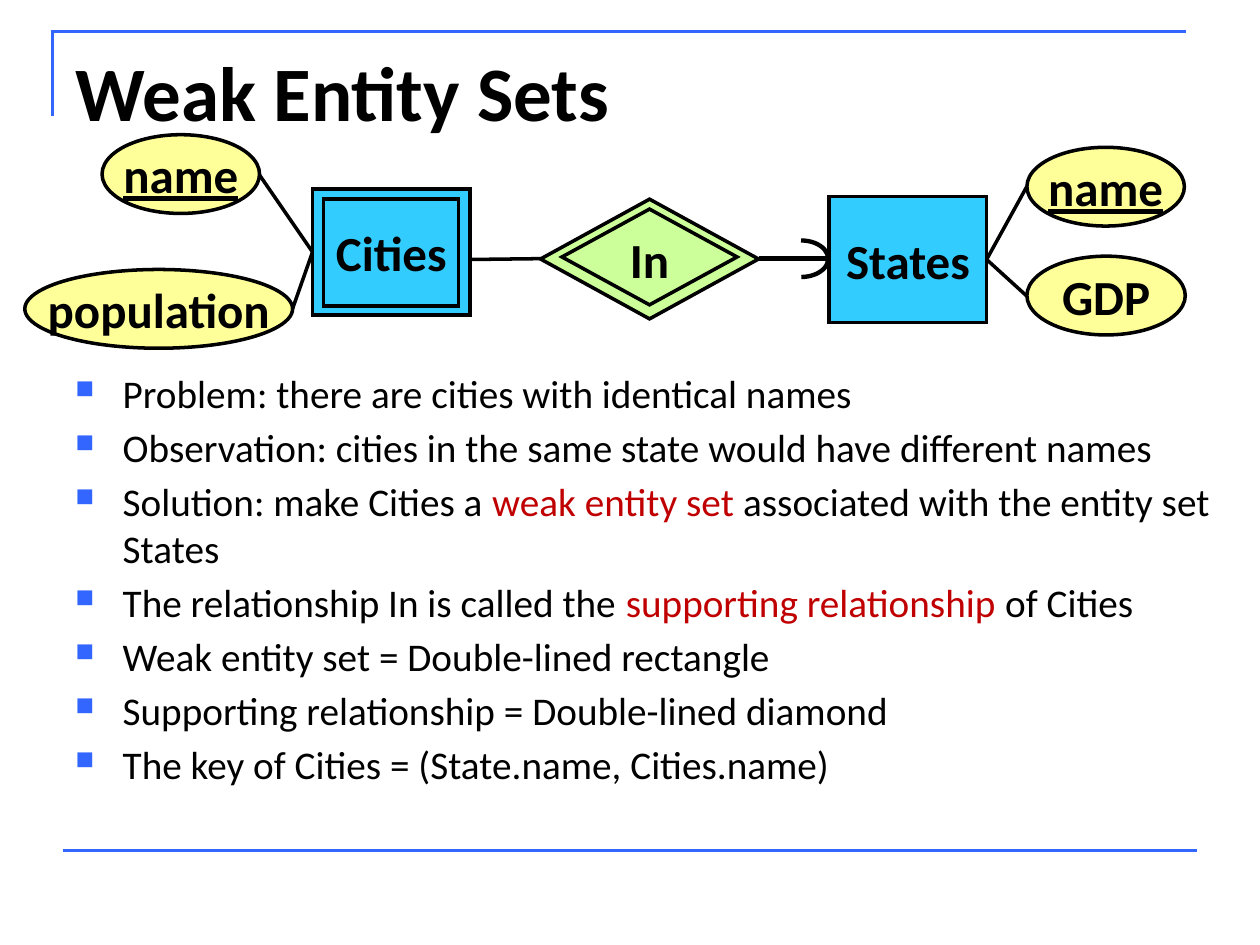
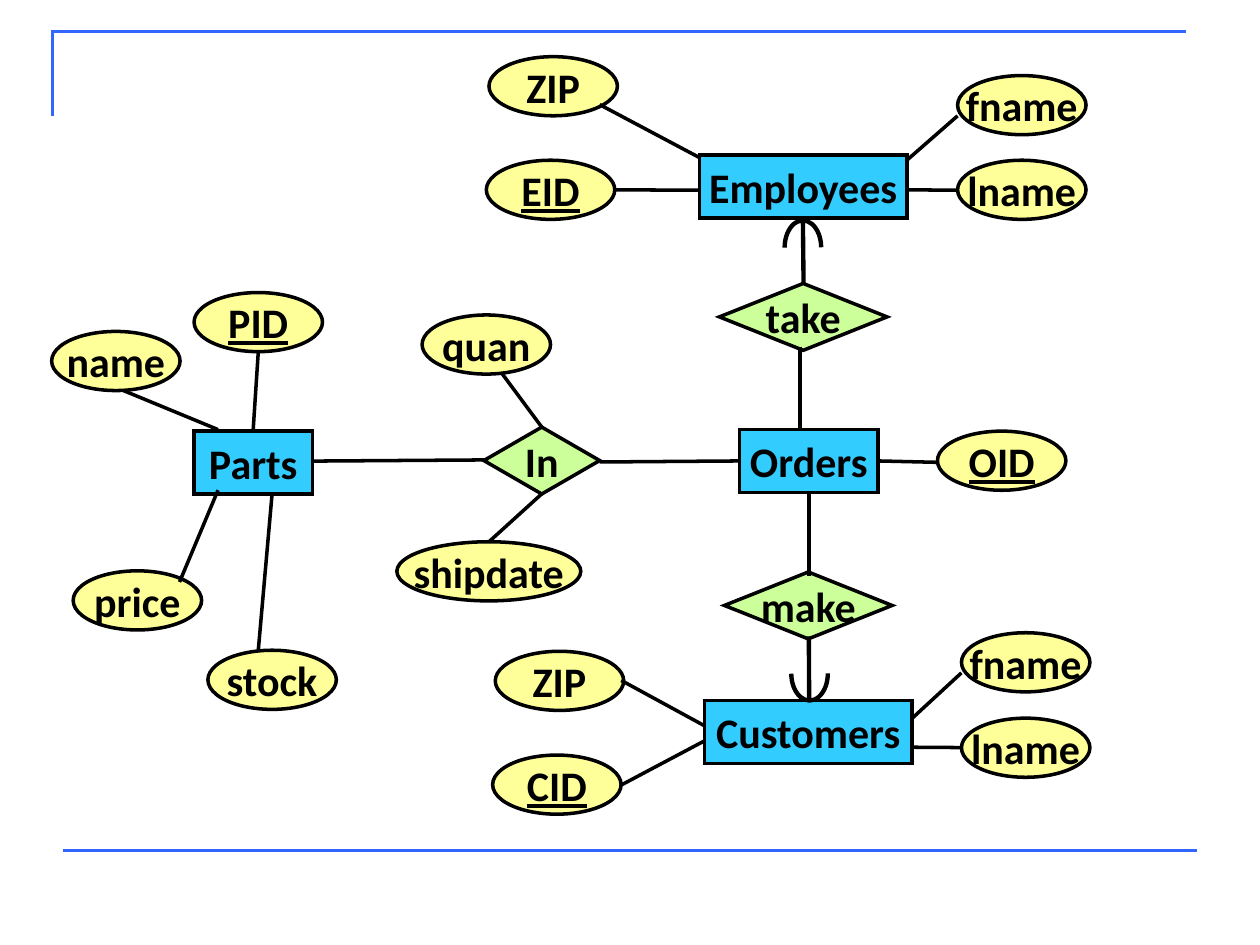
from dataclasses import dataclass
from enum import Enum

from lxml.etree import SubElement
from pptx import Presentation
from pptx.dml.color import RGBColor
from pptx.enum.shapes import MSO_CONNECTOR, MSO_SHAPE
from pptx.enum.text import MSO_ANCHOR, MSO_AUTO_SIZE, PP_ALIGN
from pptx.oxml.ns import qn
from pptx.util import Pt

# Shared look
FONT = "Calibri"
BLACK = RGBColor(0x00, 0x00, 0x00)
RED = RGBColor(0xC0, 0x00, 0x00)
FRAME_BLUE = RGBColor(0x33, 0x66, 0xFF)
ENTITY_BLUE = RGBColor(0x33, 0xCC, 0xFF)
ATTRIBUTE_YELLOW = RGBColor(0xFF, 0xFF, 0x99)
RELATIONSHIP_GREEN = RGBColor(0xCC, 0xFF, 0x99)
FRAME_WIDTH, LINE_WIDTH, ARROW_WIDTH = 1.5, 2, 2.5
ARC_WIDTH, ARC_HEIGHT = 31, 20.9
TITLE_ONLY, BLANK = 5, 6


class Kind(Enum):
    ENTITY = (MSO_SHAPE.RECTANGLE, ENTITY_BLUE)
    ATTRIBUTE = (MSO_SHAPE.OVAL, ATTRIBUTE_YELLOW)
    RELATIONSHIP = (MSO_SHAPE.DIAMOND, RELATIONSHIP_GREEN)
    INNER_RECTANGLE = (MSO_SHAPE.RECTANGLE, None)
    INNER_DIAMOND = (MSO_SHAPE.DIAMOND, None)


@dataclass
class Node:
    kind: Kind
    text: str
    left: float
    top: float
    width: float
    height: float
    key: bool = False


@dataclass
class Link:
    x1: float
    y1: float
    x2: float
    y2: float
    width: float = LINE_WIDTH
    color: RGBColor = BLACK


@dataclass
class RoundArrowhead:
    left: float
    top: float
    rotation: float = 0


def add_text(paragraph, text: str, *, size: float, color: RGBColor = BLACK,
             bold: bool = False, underline: bool = False) -> None:
    run = paragraph.add_run()
    run.text = text
    font = run.font
    font.name, font.size, font.bold = FONT, Pt(size), bold
    font.underline = underline
    font.color.rgb = color


def format_line(shape, color: RGBColor, width: float) -> None:
    shape.line.color.rgb = color
    shape.line.width = Pt(width)


def format_outline(shape, fill: RGBColor | None, color: RGBColor, width: float) -> None:
    shape.shadow.inherit = False
    if fill is None:
        shape.fill.background()
    else:
        shape.fill.solid()
        shape.fill.fore_color.rgb = fill
    format_line(shape, color, width)
    # Sharp corners
    SubElement(shape.line._get_or_add_ln(), qn("a:miter"), lim="800000")


def add_node(slide, node: Node, size: float) -> None:
    preset, fill = node.kind.value
    shape = slide.shapes.add_shape(
        preset, Pt(node.left), Pt(node.top), Pt(node.width), Pt(node.height))
    format_outline(shape, fill, BLACK, LINE_WIDTH)
    if node.text:
        frame = shape.text_frame
        frame.word_wrap = False
        frame.vertical_anchor = MSO_ANCHOR.MIDDLE
        paragraph = frame.paragraphs[0]
        paragraph.alignment = PP_ALIGN.CENTER
        add_text(paragraph, node.text, size=size, bold=True, underline=node.key)


def add_link(slide, link: Link) -> None:
    connector = slide.shapes.add_connector(
        MSO_CONNECTOR.STRAIGHT, Pt(link.x1), Pt(link.y1), Pt(link.x2), Pt(link.y2))
    format_line(connector, link.color, link.width)
    SubElement(connector._element.spPr, qn("a:effectLst"))


def add_round_arrowhead(slide, arrowhead: RoundArrowhead) -> None:
    arc = slide.shapes.add_shape(
        MSO_SHAPE.ARC, Pt(arrowhead.left), Pt(arrowhead.top), Pt(ARC_WIDTH), Pt(ARC_HEIGHT))
    arc.adjustments[0], arc.adjustments[1] = 162, 53.455
    arc.rotation = arrowhead.rotation
    format_outline(arc, None, BLACK, ARROW_WIDTH)


def add_frame(slide) -> None:
    builder = slide.shapes.build_freeform(Pt(30), Pt(66.2))
    builder.add_line_segments([(Pt(30), Pt(18)), (Pt(678), Pt(18))], close=False)
    format_outline(builder.convert_to_shape(), None, FRAME_BLUE, FRAME_WIDTH)
    add_link(slide, Link(36, 486, 684, 486, FRAME_WIDTH, FRAME_BLUE))


def add_title(slide, text: str) -> None:
    title = slide.shapes.title
    title.left, title.top, title.width, title.height = Pt(36), Pt(21.6), Pt(648), Pt(90)
    frame = title.text_frame
    frame.auto_size = MSO_AUTO_SIZE.NONE
    frame.vertical_anchor = MSO_ANCHOR.TOP
    paragraph = frame.paragraphs[0]
    paragraph.alignment = PP_ALIGN.LEFT
    add_text(paragraph, text, size=44, bold=True)


def add_bullets(slide, bullets: list[list[tuple[str, RGBColor]]]) -> None:
    box = slide.shapes.add_textbox(Pt(36), Pt(207.4), Pt(663.8), Pt(283.7))
    frame = box.text_frame
    frame.word_wrap = True
    for index, pieces in enumerate(bullets):
        paragraph = frame.add_paragraph() if index else frame.paragraphs[0]
        paragraph.space_before = Pt(4 if index else 0)
        properties = paragraph._p.get_or_add_pPr()
        properties.set("marL", str(Pt(27)))
        properties.set("indent", str(-Pt(27)))
        color = SubElement(properties, qn("a:buClr"))
        SubElement(color, qn("a:srgbClr"), val=str(FRAME_BLUE))
        SubElement(properties, qn("a:buSzPct"), val="65000")
        SubElement(properties, qn("a:buChar"), char="■")
        for text, text_color in pieces:
            add_text(paragraph, text, size=22.4, color=text_color)


def add_diagram(slide, nodes: list[Node], links: list[Link],
                arrowheads: list[RoundArrowhead], size: float) -> None:
    for node in nodes:
        add_node(slide, node, size)
    for link in links:
        add_link(slide, link)
    for arrowhead in arrowheads:
        add_round_arrowhead(slide, arrowhead)


def entity(text: str, left: float, top: float, width: float) -> Node:
    return Node(Kind.ENTITY, text, left, top, width, 36)


def relationship(text: str, left: float, top: float, width: float = 95.8) -> Node:
    return Node(Kind.RELATIONSHIP, text, left, top, width, 38.2)


def attribute(text: str, left: float, top: float, width: float = 73.4,
              key: bool = False) -> Node:
    return Node(Kind.ATTRIBUTE, text, left, top, width, 33.8, key)


presentation = Presentation()
presentation.slide_width, presentation.slide_height = Pt(720), Pt(540)

# Slide 1: weak entity sets
slide = presentation.slides.add_slide(presentation.slide_layouts[TITLE_ONLY])
add_frame(slide)
add_title(slide, "Weak Entity Sets")
add_bullets(slide, [
    [("Problem: there are cities with identical names", BLACK)],
    [("Observation: cities in the same state would have different names", BLACK)],
    [("Solution: make Cities a ", BLACK), ("weak entity set", RED),
     (" associated with the entity set States", BLACK)],
    [("The relationship In is called the ", BLACK), ("supporting relationship", RED),
     (" of Cities", BLACK)],
    [("Weak entity set = Double-lined rectangle", BLACK)],
    [("Supporting relationship = Double-lined diamond", BLACK)],
    [("The key of Cities = (State.name, Cities.name)", BLACK)],
])
add_diagram(
    slide,
    [
        Node(Kind.ENTITY, "Cities", 178.6, 108, 90, 72),
        Node(Kind.INNER_RECTANGLE, "", 185, 113.8, 77, 61.2),
        Node(Kind.ATTRIBUTE, "name", 58.3, 77, 90, 45, key=True),
        Node(Kind.ATTRIBUTE, "population", 14.2, 154, 153, 45),
        Node(Kind.ENTITY, "States", 473.8, 112.3, 90, 72),
        Node(Kind.ATTRIBUTE, "name", 586.8, 84.2, 90, 45, key=True),
        Node(Kind.ATTRIBUTE, "GDP", 586.8, 146.4, 90.5, 45),
        Node(Kind.RELATIONSHIP, "In", 308.9, 113.8, 124.6, 68.4),
        Node(Kind.INNER_DIAMOND, "", 321.1, 119.5, 100.1, 54.7),
    ],
    [
        Link(148.3, 100, 178.6, 144),
        Link(167.2, 176.4, 178.6, 144),
        Link(586.8, 106.6, 563.8, 148.3),
        Link(586.8, 169.2, 563.8, 148.3),
        Link(268.6, 148.3, 308.9, 147.8),
        Link(473.8, 147.8, 433.5, 147.8, ARROW_WIDTH),
    ],
    [RoundArrowhead(442.3, 137.4)],
    size=28,
)

# Slide 2: order database diagram
slide = presentation.slides.add_slide(presentation.slide_layouts[BLANK])
add_frame(slide)
add_diagram(
    slide,
    [
        entity("Orders", 422.6, 245.5, 79.2),
        entity("Parts", 110.9, 246.4, 67.7),
        entity("Employees", 399.6, 88.6, 118.8),
        entity("Customers", 402.5, 400.3, 118.8),
        relationship("In", 276.5, 244.1, 66.2),
        relationship("take", 411.1, 162),
        relationship("make", 414, 326.9),
        attribute("OID", 535.7, 246.4, key=True),
        attribute("quan", 241.2, 180),
        attribute("shipdate", 226.8, 309.6, 105.1),
        # Parts
        attribute("PID", 110.9, 167.2, key=True),
        attribute("name", 29.5, 189.4),
        attribute("price", 41.8, 326.2),
        attribute("stock", 118.8, 371.6),
        # Employees
        attribute("fname", 547.2, 43.2),
        attribute("lname", 547.2, 91.6),
        attribute("EID", 277.9, 91.6, key=True),
        attribute("ZIP", 279.4, 32.4),
        # Customers
        attribute("CID", 281.5, 431.5, key=True),
        attribute("ZIP", 283, 372.2),
        attribute("fname", 549.4, 361.6),
        attribute("lname", 549.4, 410.4),
    ],
    [
        Link(501.8, 263.4, 535.7, 264.2),
        Link(342.7, 264, 422.6, 263.4),
        Link(178.6, 263.5, 279, 262.8),
        Link(286.6, 213.1, 309.6, 244.1),
        Link(279.4, 309.6, 309.6, 282.2),
        # Parts
        Link(147.6, 200.9, 144.7, 245.5),
        Link(124.6, 280.1, 102.6, 332.6),
        Link(70.6, 223.2, 124.6, 245.5),
        Link(155.5, 282.2, 147.6, 371.5),
        # Relationships to entities
        Link(459.2, 162, 458.8, 125.3, ARROW_WIDTH),
        Link(457.2, 198, 457.2, 245.5),
        Link(462.2, 281.5, 462.2, 329),
        Link(462.4, 400.3, 462.2, 363.6, ARROW_WIDTH),
        # Employees
        Link(518.4, 108.5, 547.2, 108.7),
        Link(518.4, 91.4, 547.2, 66.2),
        Link(351.4, 108.5, 399.6, 108.7),
        Link(342.7, 59.8, 399.6, 90),
        # Customers
        Link(355, 448.6, 402.5, 423.4),
        Link(355, 388.8, 402.5, 414.7),
        Link(521.3, 427, 549.4, 427.2),
        Link(521.3, 410.4, 549.4, 384.5),
    ],
    [RoundArrowhead(443.3, 131, 270), RoundArrowhead(447.1, 374.4, 90)],
    size=24,
)

presentation.save("out.pptx")
